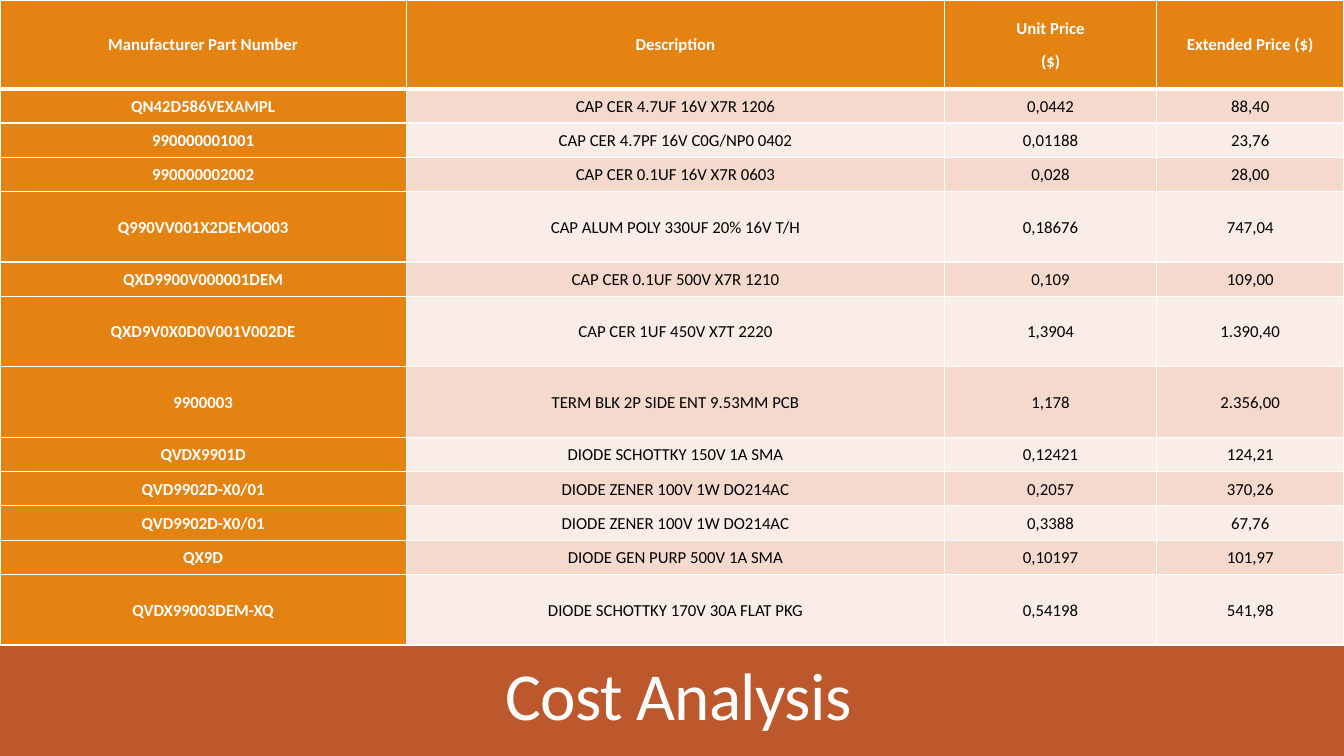
import pptx
import pptx.util
import pptx.dml.color
import pptx.enum.shapes
import pptx.enum.text
import pptx.oxml.ns
import lxml.etree

Inches = pptx.util.Inches
Pt = pptx.util.Pt

HEAD = ["Manufacturer Part Number", "Description", "Unit Price\n($)", "Extended Price ($)"]
PARTS = [
    ("QN42D586VEXAMPL", "CAP CER 4.7UF 16V X7R 1206", "0,0442", "88,40"),
    ("990000001001", "CAP CER 4.7PF 16V C0G/NP0 0402", "0,01188", "23,76"),
    ("990000002002", "CAP CER 0.1UF 16V X7R 0603", "0,028", "28,00"),
    ("Q990VV001X2DEMO003", "CAP ALUM POLY 330UF 20% 16V T/H", "0,18676", "747,04"),
    ("QXD9900V000001DEM", "CAP CER 0.1UF 500V X7R 1210", "0,109", "109,00"),
    ("QXD9V0X0D0V001V002DE", "CAP CER 1UF 450V X7T 2220", "1,3904", "1.390,40"),
    ("9900003", "TERM BLK 2P SIDE ENT 9.53MM PCB", "1,178", "2.356,00"),
    ("QVDX9901D", "DIODE SCHOTTKY 150V 1A SMA", "0,12421", "124,21"),
    ("QVD9902D-X0/01", "DIODE ZENER 100V 1W DO214AC", "0,2057", "370,26"),
    ("QVD9902D-X0/01", "DIODE ZENER 100V 1W DO214AC", "0,3388", "67,76"),
    ("QX9D", "DIODE GEN PURP 500V 1A SMA", "0,10197", "101,97"),
    ("QVDX99003DEM-XQ", "DIODE SCHOTTKY 170V 30A FLAT PKG", "0,54198", "541,98"),
]
TITLE = "Cost Analysis"
WIDE, HIGH = 13.33, 7.5
COLS = [4.03, 5.34, 2.1, 1.86]
HEAD_H, ROW_H, TALL_H = 0.88, 0.34, 0.7
TALL = {4, 6, 7, 12}
BAND_TOP = 5.42

THEME = {
    "font": "Calibri", "title": 48, "body": 12,
    "white": "FFFFFF", "black": "000000",
    "rust": "BD582C", "gold": "E48312", "odd": "F5D9CC", "even": "FAEDE7",
}


def tint(name):
    return pptx.dml.color.RGBColor.from_string(THEME[name])


def write(frame, text, size="body", color="black", bold=False, lead=1.07, after=8, track=None):
    frame.word_wrap = True
    for i, line in enumerate(text.split("\n")):
        para = frame.paragraphs[0] if i == 0 else frame.add_paragraph()
        para.alignment = pptx.enum.text.PP_ALIGN.CENTER
        para.line_spacing = lead
        para.space_after = Pt(after)
        run = para.add_run()
        run.text = line
        run.font.name = THEME["font"]
        run.font.size = Pt(THEME[size])
        run.font.bold = bold
        run.font.color.rgb = tint(color)
        if track is not None:
            run.font._element.set("spc", str(int(track * 100)))


def rule(cell, widths):
    props = cell._tc.get_or_add_tcPr()
    for i, (side, width) in enumerate(zip("LRTB", widths)):
        line = lxml.etree.Element(pptx.oxml.ns.qn("a:ln" + side), w=str(int(Pt(width))))
        fill = lxml.etree.SubElement(line, pptx.oxml.ns.qn("a:solidFill"))
        lxml.etree.SubElement(fill, pptx.oxml.ns.qn("a:srgbClr"), val=THEME["white"])
        props.insert(i, line)


def add_band(slide):
    band = slide.shapes.add_shape(
        pptx.enum.shapes.MSO_SHAPE.RECTANGLE,
        0, Inches(BAND_TOP), Inches(WIDE), Inches(HIGH - BAND_TOP))
    band.shadow.inherit = False
    band.fill.solid()
    band.fill.fore_color.rgb = tint("rust")
    band.line.fill.background()


def add_title(slide):
    box = slide.shapes.add_textbox(Inches(1.2), Inches(5.55), Inches(11.06), Inches(1.73))
    frame = box.text_frame
    frame.margin_top = frame.margin_bottom = 0
    frame.vertical_anchor = pptx.enum.text.MSO_ANCHOR.BOTTOM
    write(frame, TITLE, size="title", color="white", lead=0.85, after=0, track=-0.5)


def add_costs(slide):
    rows = [HEAD] + PARTS
    highs = [HEAD_H] + [TALL_H if i in TALL else ROW_H for i in range(1, len(rows))]
    table = slide.shapes.add_table(
        len(rows), len(COLS), 0, 0, Inches(WIDE), Inches(sum(highs))).table
    table.horz_banding = False
    for col, width in zip(table.columns, COLS):
        col.width = Inches(width)
    for r, (texts, high) in enumerate(zip(rows, highs)):
        table.rows[r].height = Inches(high)
        for c, text in enumerate(texts):
            cell = table.cell(r, c)
            key = r == 0 or c == 0
            cell.margin_left = cell.margin_right = Inches(0.05)
            cell.margin_top = cell.margin_bottom = 0
            cell.vertical_anchor = pptx.enum.text.MSO_ANCHOR.MIDDLE
            cell.fill.solid()
            cell.fill.fore_color.rgb = tint("gold" if key else "odd" if r % 2 else "even")
            rule(cell, (1, 1, 3 if r == 1 else 1, 3 if r == 0 else 1))
            write(cell.text_frame, text, color="white" if key else "black", bold=key)


def main():
    deck = pptx.Presentation()
    deck.slide_width, deck.slide_height = Inches(WIDE), Inches(HIGH)
    slide = deck.slides.add_slide(deck.slide_layouts[6])
    add_band(slide)
    add_title(slide)
    add_costs(slide)
    deck.save("out.pptx")


if __name__ == "__main__":
    main()
